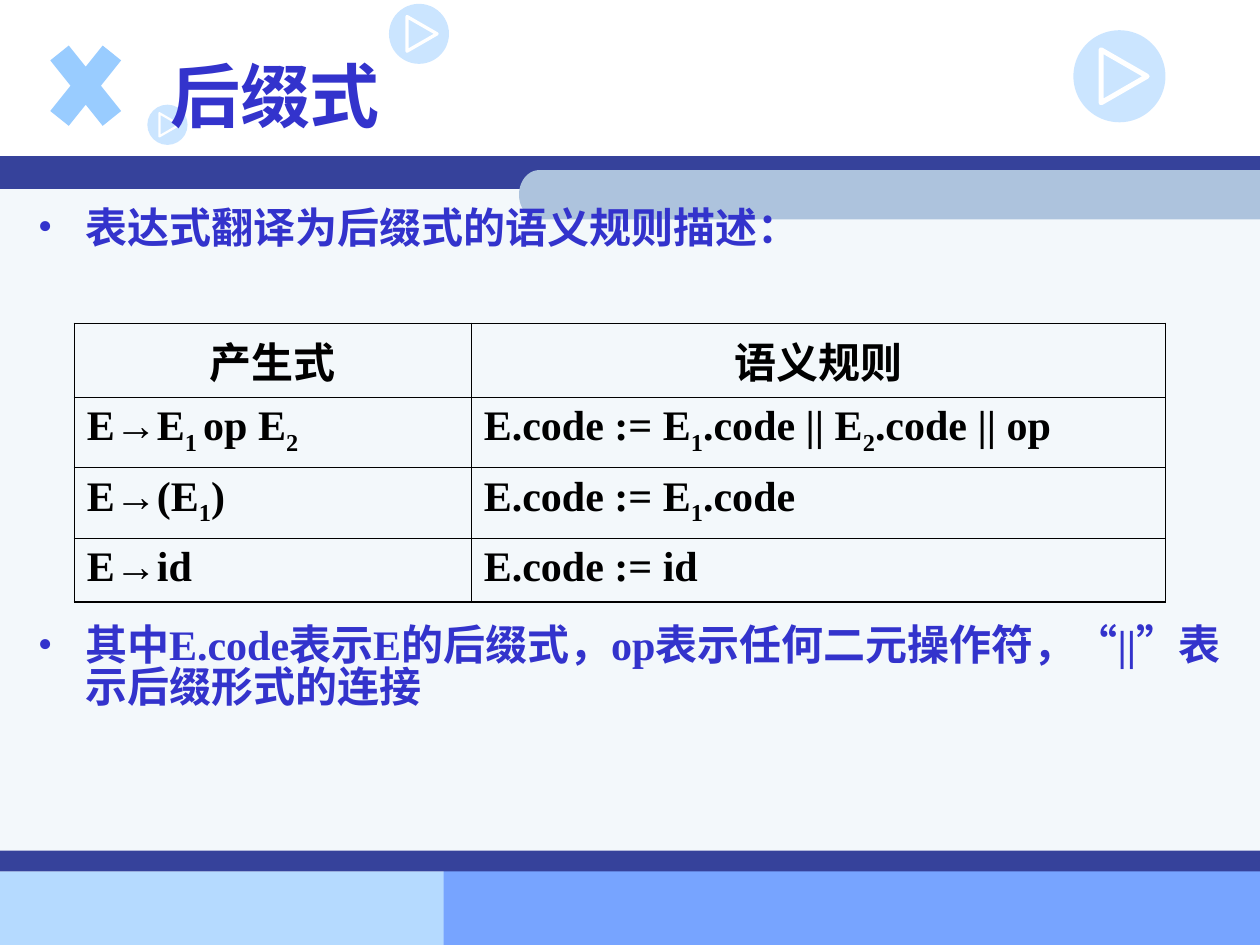
from math import cos, pi, sin

from lxml import etree
from pptx import Presentation
from pptx.dml.color import RGBColor
from pptx.enum.shapes import MSO_SHAPE
from pptx.enum.text import MSO_ANCHOR, MSO_AUTO_SIZE, PP_ALIGN
from pptx.oxml.ns import qn
from pptx.util import Pt

RECTANGLE, OVAL = MSO_SHAPE.RECTANGLE, MSO_SHAPE.OVAL
TRIANGLE, CROSS = MSO_SHAPE.ISOSCELES_TRIANGLE, MSO_SHAPE.MATH_MULTIPLY
LEFT, CENTER = PP_ALIGN.LEFT, PP_ALIGN.CENTER
TOP, MIDDLE = MSO_ANCHOR.TOP, MSO_ANCHOR.MIDDLE

THEME = {
    "ink": "3333CC", "black": "000000", "white": "FFFFFF", "sky": "99CCFF",
    "navy": "36429B", "panel": "F3F8FB", "tab": "ADC3DD",
    "footer_left": "B5DAFF", "footer_right": "77A4FF",
    "latin": "Times New Roman", "chinese": "Noto Sans CJK SC",
    "title_size": 40, "text_size": 24, "outer_border": 1.08, "inner_border": 0.45,
}

TITLE = "后缀式"
BULLETS = [
    "表达式翻译为后缀式的语义规则描述：",
    "其中E.code表示E的后缀式，op表示任何二元操作符，“||”表示后缀形式的连接",
]
BULLET_GAP = 215
RULES = [
    (("产生式",), ("语义规则",)),
    (("E→E", "1 ", "op E", "2"), ("E.code := E", "1", ".code || E", "2", ".code || op")),
    (("E→(E", "1", ")"), ("E.code := E", "1", ".code")),
    (("E→id",), ("E.code := id",)),
]
COLUMN_WIDTHS = [226.8, 396.7]
ROW_HEIGHTS = [36.7, 40.3, 40.3, 36.7]

BANDS = [
    (0, 498, 306, 42, "footer_left"),
    (253.5, 497.5, 466.5, 42.5, "footer_right"),
    (0, 100.8, 720, 396.7, "panel"),
    (0, 89.3, 720, 18.7, "navy"),
    (0, 486, 720, 12, "navy"),
]
TAB = (296.6, 97.2, 720, 125.3)
TAB_CURVE = 11.5
BADGES = [(222.3, 2.2, 34.3), (613.4, 17.3, 52.6), (84.2, 59.8, 23)]


def color(name):
    return RGBColor.from_string(THEME[name])


def fill_plain(shape, name):
    shape.shadow.inherit = False
    shape.fill.solid()
    shape.fill.fore_color.rgb = color(name)
    shape.line.fill.background()


def add_plain(slide, kind, left, top, width, height, name):
    shape = slide.shapes.add_shape(kind, Pt(left), Pt(top), Pt(width), Pt(height))
    fill_plain(shape, name)
    return shape


def add_tab(slide):
    left, top, right, bottom = TAB
    middle, radius = (top + bottom) / 2, (bottom - top) / 2
    steps = 24
    angles = [pi / 2 + pi * step / steps for step in range(steps + 1)]
    curve = [(Pt(left + TAB_CURVE * (1 + cos(angle))), Pt(middle + radius * sin(angle)))
             for angle in angles]
    builder = slide.shapes.build_freeform(Pt(right), Pt(bottom))
    builder.add_line_segments(curve + [(Pt(right), Pt(top))], close=True)
    fill_plain(builder.convert_to_shape(), "tab")


def add_badge(slide, left, top, size):
    disc = add_plain(slide, OVAL, left, top, size, size, "sky")
    solid_color = disc.fill._xPr.find(qn("a:solidFill"))[0]
    etree.SubElement(solid_color, qn("a:alpha"), val="50000")
    base, height = 0.575 * size, 0.5 * size
    arrow = add_plain(slide, TRIANGLE, left + 0.55 * size - base / 2,
                      top + size / 2 - height / 2, base, height, "white")
    arrow.rotation = 90
    arrow.fill.background()
    arrow.line.color.rgb = color("white")
    arrow.line.width = Pt(0.055 * size)
    etree.SubElement(arrow.line._ln, qn("a:round"))


def format_run(run, size, ink, latin="latin"):
    font = run.font
    font.name, font.size, font.bold = THEME[latin], Pt(THEME[size]), True
    font.color.rgb = color(ink)
    properties = run._r.get_or_add_rPr()
    properties.find(qn("a:latin")).addnext(
        etree.Element(qn("a:ea"), typeface=THEME["chinese"]))


def place(placeholder, left, top, width, height, anchor):
    placeholder.left, placeholder.top = Pt(left), Pt(top)
    placeholder.width, placeholder.height = Pt(width), Pt(height)
    frame = placeholder.text_frame
    frame.auto_size, frame.word_wrap = MSO_AUTO_SIZE.NONE, True
    frame.vertical_anchor = anchor
    return frame


def add_title(slide):
    frame = place(slide.shapes.title, 90, 12.2, 612, 84.2, MIDDLE)
    frame.text = TITLE
    paragraph = frame.paragraphs[0]
    paragraph.alignment = LEFT
    format_run(paragraph.runs[0], "title_size", "ink", "chinese")


def add_bullets(slide):
    frame = place(slide.placeholders[1], 14.4, 116.6, 691.9, 357.1, TOP)
    frame.text = "\n".join(BULLETS)
    for index, paragraph in enumerate(frame.paragraphs):
        properties = paragraph._p.get_or_add_pPr()
        properties.set("marL", str(Pt(27)))
        properties.set("indent", str(Pt(-27)))
        bullet_color = etree.SubElement(properties, qn("a:buClr"))
        etree.SubElement(bullet_color, qn("a:srgbClr"), val=THEME["ink"])
        etree.SubElement(properties, qn("a:buFont"), typeface=THEME["latin"])
        etree.SubElement(properties, qn("a:buChar"), char="•")
        paragraph.line_spacing = 0.82
        paragraph.space_before = Pt(BULLET_GAP * index)
        format_run(paragraph.runs[0], "text_size", "ink")


def set_borders(cell, outer_sides):
    properties = cell._tc.get_or_add_tcPr()
    for index, side in enumerate(("lnL", "lnR", "lnT", "lnB")):
        width = THEME["outer_border" if side in outer_sides else "inner_border"]
        line = etree.Element(qn("a:" + side), w=str(Pt(width)))
        fill = etree.SubElement(line, qn("a:solidFill"))
        etree.SubElement(fill, qn("a:srgbClr"), val=THEME["black"])
        properties.insert(index, line)


def add_rules(slide):
    rows, columns = len(RULES), len(COLUMN_WIDTHS)
    table = slide.shapes.add_table(rows, columns, Pt(42.5), Pt(184.8),
                                   Pt(sum(COLUMN_WIDTHS)), Pt(sum(ROW_HEIGHTS))).table
    table.first_row = table.horz_banding = False
    for column, width in zip(table.columns, COLUMN_WIDTHS):
        column.width = Pt(width)
    for row_index, (row, height) in enumerate(zip(table.rows, ROW_HEIGHTS)):
        row.height = Pt(height)
        for column_index, pieces in enumerate(RULES[row_index]):
            cell = row.cells[column_index]
            cell.fill.background()
            paragraph = cell.text_frame.paragraphs[0]
            paragraph.alignment = CENTER if row_index == 0 else LEFT
            for piece_index, piece in enumerate(pieces):
                run = paragraph.add_run()
                run.text = piece
                format_run(run, "text_size", "black")
                if piece_index % 2:
                    run._r.get_or_add_rPr().set("baseline", "-25000")
            edges = {"lnL": column_index == 0, "lnR": column_index == columns - 1,
                     "lnT": row_index == 0, "lnB": row_index == rows - 1}
            set_borders(cell, [side for side, outer in edges.items() if outer])


def main():
    presentation = Presentation()
    presentation.slide_width, presentation.slide_height = Pt(720), Pt(540)
    slide = presentation.slides.add_slide(presentation.slide_layouts[1])
    slide.background.fill.solid()
    slide.background.fill.fore_color.rgb = color("white")
    placeholders = list(slide.placeholders)
    for left, top, width, height, name in BANDS:
        add_plain(slide, RECTANGLE, left, top, width, height, name)
    add_tab(slide)
    add_plain(slide, CROSS, 20.2, 13, 57.6, 72, "sky")
    for badge in BADGES:
        add_badge(slide, *badge)
    for placeholder in placeholders:
        slide.shapes._spTree.append(placeholder._element)
    add_title(slide)
    add_bullets(slide)
    add_rules(slide)
    presentation.save("out.pptx")


if __name__ == "__main__":
    main()
